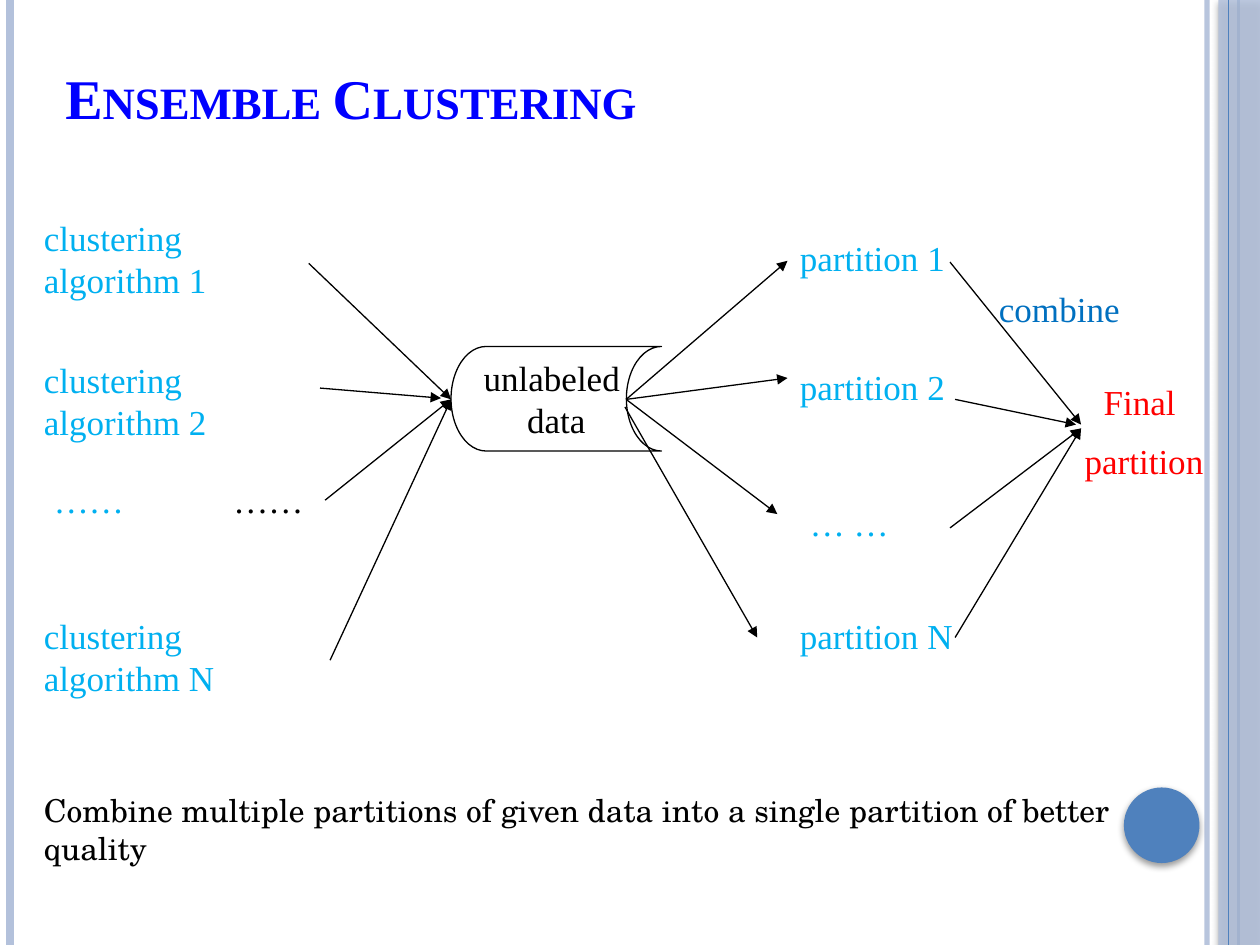
from dataclasses import dataclass

from lxml.etree import SubElement
from pptx import Presentation
from pptx.dml.color import RGBColor
from pptx.enum.shapes import MSO_CONNECTOR, MSO_SHAPE
from pptx.enum.text import MSO_ANCHOR, PP_ALIGN
from pptx.oxml.ns import qn
from pptx.util import Pt

PX = 9144


@dataclass(frozen=True)
class Theme:
    """Colours, fonts and type sizes of the slide."""
    pale: str = "B3C1DB"
    accent: str = "4F81BD"
    title: str = "0000FF"
    label: str = "00B0F0"
    combine: str = "0070C0"
    final: str = "FF0000"
    ink: str = "000000"
    serif: str = "Times New Roman"
    body: str = "TeX Gyre Schola"
    title_size: int = 32
    label_size: int = 20
    body_size: int = 18
    gap: int = 10


T = Theme()


def px(*values):
    """Turn px lengths into EMU."""
    return [v * PX for v in values]


def add_alpha(fill_parent, percent):
    """Make the solid colour under an element partly transparent."""
    color = next(fill_parent.iter(qn("a:srgbClr")))
    SubElement(color, qn("a:alpha"), val=str(percent * 1000))


def add_line(slide, start, end, color, width, arrow=False):
    """Draw a straight line without shadow, with an optional arrowhead."""
    cn = slide.shapes.add_connector(MSO_CONNECTOR.STRAIGHT, *px(*start, *end))
    cn.line.color.rgb = RGBColor.from_string(color)
    cn.line.width = Pt(width)
    if arrow:
        SubElement(cn.line._get_or_add_ln(), qn("a:tailEnd"), type="triangle")
    SubElement(cn._element.spPr, qn("a:effectLst"))
    return cn


def add_arrows(slide, x, y, ends):
    """Draw arrows from (start, end) pairs relative to a corner."""
    for (x1, y1), (x2, y2) in ends:
        add_line(slide, (x + x1, y + y1), (x + x2, y + y2), T.ink, 0.75, True)


def write(sp, lines, color, size=T.label_size, font=T.serif, align=PP_ALIGN.LEFT, gap=0):
    """Write one paragraph per line in a shared style."""
    tf = sp.text_frame
    tf.word_wrap = True
    for i, line in enumerate(lines):
        p = tf.add_paragraph() if i else tf.paragraphs[0]
        p.text = line
        p.alignment = align
        if i and gap:
            p.space_before = Pt(gap)
        p.font.size = Pt(size)
        p.font.name = font
        p.font.color.rgb = RGBColor.from_string(color)
    return tf


def add_text(slide, box, lines, color, **style):
    """Add a text box holding the given lines."""
    return write(slide.shapes.add_textbox(*px(*box)), lines, color, **style)


def add_shadowed(slide, kind, box, color):
    """Add a filled shape with a soft shadow below it."""
    sp = slide.shapes.add_shape(kind, *px(*box))
    sp.fill.solid()
    sp.fill.fore_color.rgb = RGBColor.from_string(color)
    sp.line.fill.background()
    sp.shadow.inherit = False
    effects = sp._element.spPr.find(qn("a:effectLst"))
    shadow = SubElement(effects, qn("a:outerShdw"), blurRad=str(Pt(4)), dist=str(Pt(2)),
                        dir="5400000", rotWithShape="0")
    black = SubElement(shadow, qn("a:srgbClr"), val=T.ink)
    SubElement(black, qn("a:alpha"), val="40000")
    return sp


def add_frame(slide, x, y, w, h):
    """Place the side rails, the right band and the disc."""
    def rail(offset, color, width):
        return add_line(slide, (x + offset, y), (x + offset, y + h), color, width)

    add_alpha(rail(w - 42, T.pale, 3)._element.spPr, 93)
    rail(8, T.pale, 4.5)
    rail(w - 17, T.accent, 1.5)
    band = add_shadowed(slide, MSO_SHAPE.RECTANGLE, (x + w - 33, y, 33, h), T.pale)
    add_alpha(band._element.spPr.find(qn("a:solidFill")), 87)
    rail(w - 25, T.accent, 0.75)
    add_shadowed(slide, MSO_SHAPE.OVAL, (x + w - 108, y + h - 125, 60, 60), T.accent)


def add_title(slide, x, y, w, h):
    """Place the small-caps title at the bottom of its box."""
    tf = add_text(slide, (x, y, w, h), ["Ensemble Clustering"], T.title, size=T.title_size)
    tf.vertical_anchor = MSO_ANCHOR.BOTTOM
    font = tf.paragraphs[0].font
    font.bold = True
    font._element.set("cap", "small")


def add_algorithms(slide, x, y, w, h):
    """Place the algorithm labels and their arrows into the data."""
    for name, dy in (("1", 0), ("2", 113), ("N", h - 77)):
        add_text(slide, (x, y + dy, 208, 77), [f"clustering algorithm {name}"], T.label)
    add_text(slide, (x + 8, y + 208, 208, 43), ["……"], T.label)
    add_text(slide, (x + 142, y + 208, 92, 43), ["……"], T.ink, align=PP_ALIGN.CENTER)
    tip = (w, 150)
    add_arrows(slide, x, y, [((220, 42), tip), ((229, 141), (w - 8, 149)),
                             ((233, 230), tip), ((237, 357), tip)])


def add_data(slide, x, y, w, h):
    """Place the stored-data shape."""
    sp = slide.shapes.add_shape(MSO_SHAPE.FLOWCHART_STORED_DATA, *px(x, y, w, h))
    sp.fill.background()
    sp.line.color.rgb = RGBColor.from_string(T.ink)
    sp.line.width = Pt(0.75)
    sp.shadow.inherit = False
    tf = write(sp, ["unlabeled ", "data"], T.ink, align=PP_ALIGN.CENTER)
    tf.word_wrap = False
    tf.vertical_anchor = MSO_ANCHOR.MIDDLE


def add_partitions(slide, x, y, w, h):
    """Place the partition labels and the arrows that lead to them."""
    left = w - 183
    for name, dy in (("1", 0), ("2", 102), ("N", h - 43)):
        add_text(slide, (x + left, y + dy, 183, 43), [f"partition {name}"], T.label)
    add_text(slide, (x + left + 8, y + 210, 183, 43), ["… …"], T.label)
    hub = (0, 134)
    add_arrows(slide, x, y, [(hub, (128, 24)), (hub, (128, 117)),
                             (hub, (120, 225)), ((-1, 140), (104, 323))])


def add_result(slide, x, y, w, h):
    """Place the combining arrows and the final partition."""
    add_text(slide, (x + 29, y + 15, 183, 43), ["combine"], T.combine)
    add_text(slide, (x + w - 150, y + 89, 150, 90), ["Final ", "partition"], T.final,
             align=PP_ALIGN.CENTER, gap=T.gap)
    add_arrows(slide, x, y, [((0, 0), (104, 129)), ((4, 109), (100, 129)),
                             ((0, 211), (104, 132)), ((4, h), (104, 132))])


def add_caption(slide, x, y, w, h):
    """Place the closing sentence."""
    add_text(slide, (x, y, w, h),
             ["Combine multiple partitions of given data into a single partition of better quality"],
             T.ink, size=T.body_size, font=T.body)


def main():
    """Build and save the slide."""
    prs = Presentation()
    prs.slide_width, prs.slide_height = px(1000, 750)
    slide = prs.slides.add_slide(prs.slide_layouts[6])
    add_frame(slide, 0, 0, 1000, 750)
    add_title(slide, 42, 17, 900, 92)
    add_data(slide, 358, 275, 167, 83)
    add_algorithms(slide, 25, 167, 333, 393)
    add_partitions(slide, 497, 183, 311, 343)
    add_result(slide, 754, 208, 229, 298)
    add_caption(slide, 25, 623, 908, 40)
    prs.save("out.pptx")


if __name__ == "__main__":
    main()
